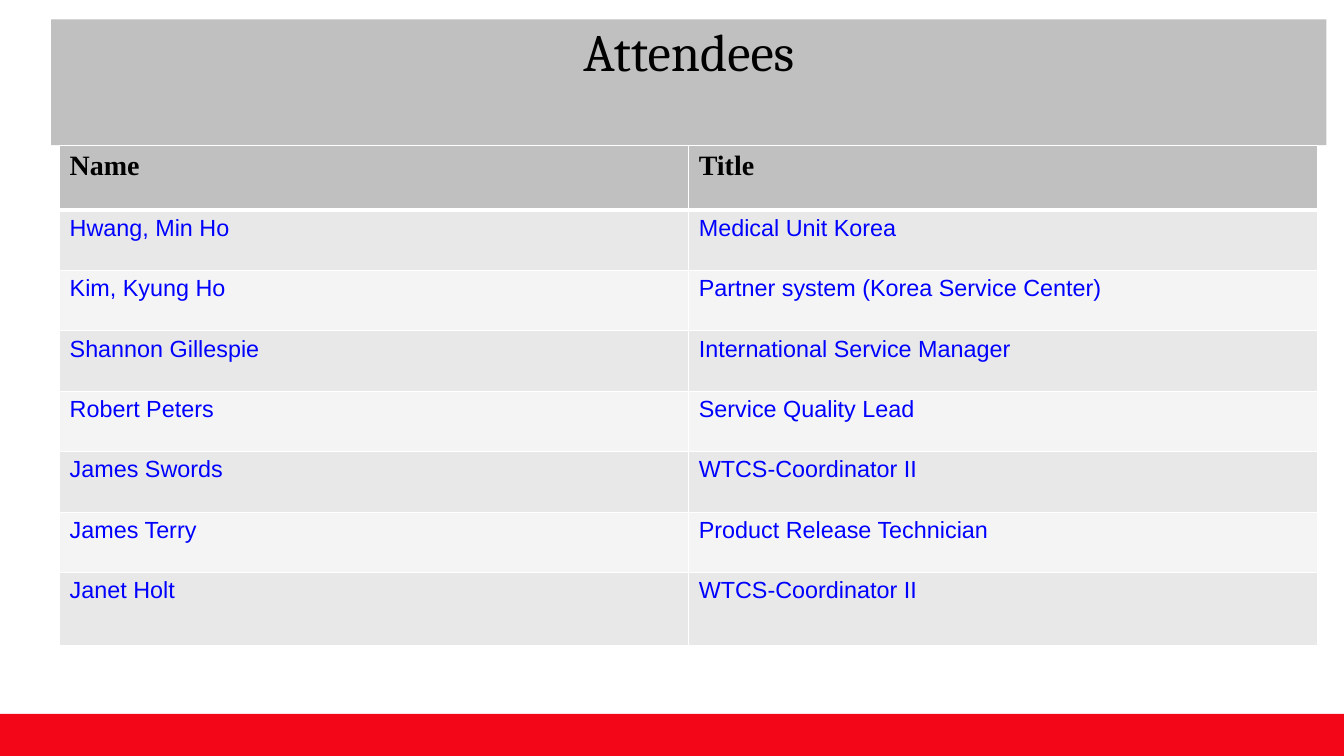
import pptx
import pptx.dml.color
import pptx.enum.shapes
import pptx.enum.text
import pptx.oxml.ns
import pptx.util
from lxml import etree
from pptx.util import Inches

THEME = {
    "banner": "C0C0C0", "footer": "F30617", "bands": ("E8E8E8", "F4F4F4"),
    "border": "FFFFFF", "border_pt": 1, "header_rule_pt": 3,
    "title": ("Cambria", 45, "000000", False),
    "header": ("Times New Roman", 24, "000000", True),
    "body": ("Arial", 20, "0000FF", False),
}

ATTENDEES = [
    ("Name", "Title"),
    ("Hwang, Min Ho", "Medical Unit Korea"),
    ("Kim, Kyung Ho", "Partner system (Korea Service Center)"),
    ("Shannon Gillespie", "International Service Manager"),
    ("Robert Peters", "Service Quality Lead"),
    ("James Swords", "WTCS-Coordinator II"),
    ("James Terry", "Product Release Technician"),
    ("Janet Holt", "WTCS-Coordinator II"),
]


def paint(target, color):
    target.fill.solid()
    target.fill.fore_color.rgb = pptx.dml.color.RGBColor.from_string(color)


def write(frame, text, style):
    frame.text = text
    font = frame.paragraphs[0].runs[0].font
    font.name, size, color, font.bold = THEME[style]
    font.size = pptx.util.Pt(size)
    font.color.rgb = pptx.dml.color.RGBColor.from_string(color)


deck = pptx.Presentation()
deck.slide_width, deck.slide_height = Inches(16), Inches(9)
slide = deck.slides.add_slide(deck.slide_layouts[6])

# Footer bar and title banner
bars = []
for left, top, width, height, color in [
    (0, 8.5, 16, 0.5, THEME["footer"]),
    (0.61, 0.23, 15.18, 1.5, THEME["banner"]),
]:
    bar = slide.shapes.add_shape(
        pptx.enum.shapes.MSO_SHAPE.RECTANGLE,
        Inches(left), Inches(top), Inches(width), Inches(height))
    bar.shadow.inherit = False
    bar.line.fill.background()
    paint(bar, color)
    bars.append(bar)

heading = bars[1].text_frame
heading.margin_left = heading.margin_right = 0
heading.margin_top = heading.margin_bottom = 0
heading.vertical_anchor = pptx.enum.text.MSO_ANCHOR.TOP
heading.word_wrap = True
write(heading, "Attendees", "title")
heading.paragraphs[0].alignment = pptx.enum.text.PP_ALIGN.CENTER

# Attendee table
attendees = slide.shapes.add_table(
    len(ATTENDEES), 2, Inches(0.71), Inches(1.73), Inches(14.98), Inches(5.96)).table
for column in attendees.columns:
    column.width = Inches(7.49)
for row in attendees.rows:
    row.height = Inches(0.72)
attendees.rows[0].height = Inches(0.77)
attendees.rows[len(ATTENDEES) - 1].height = Inches(0.87)

for r, person in enumerate(ATTENDEES):
    for c, text in enumerate(person):
        cell = attendees.cell(r, c)
        cell.margin_left = cell.margin_right = Inches(0.12)
        cell.margin_top = cell.margin_bottom = Inches(0.06)
        write(cell.text_frame, text, "body" if r else "header")

        # Borders, with a heavier rule under the header row
        properties = cell._tc.get_or_add_tcPr()
        for side in ("lnL", "lnR", "lnT", "lnB"):
            under_header = (r, side) in ((0, "lnB"), (1, "lnT"))
            points = THEME["header_rule_pt" if under_header else "border_pt"]
            edge = etree.SubElement(properties, pptx.oxml.ns.qn("a:" + side),
                                    w=str(pptx.util.Pt(points)))
            edge_fill = etree.SubElement(edge, pptx.oxml.ns.qn("a:solidFill"))
            etree.SubElement(edge_fill, pptx.oxml.ns.qn("a:srgbClr"), val=THEME["border"])
        paint(cell, THEME["bands"][(r - 1) % 2] if r else THEME["banner"])

deck.save("out.pptx")
